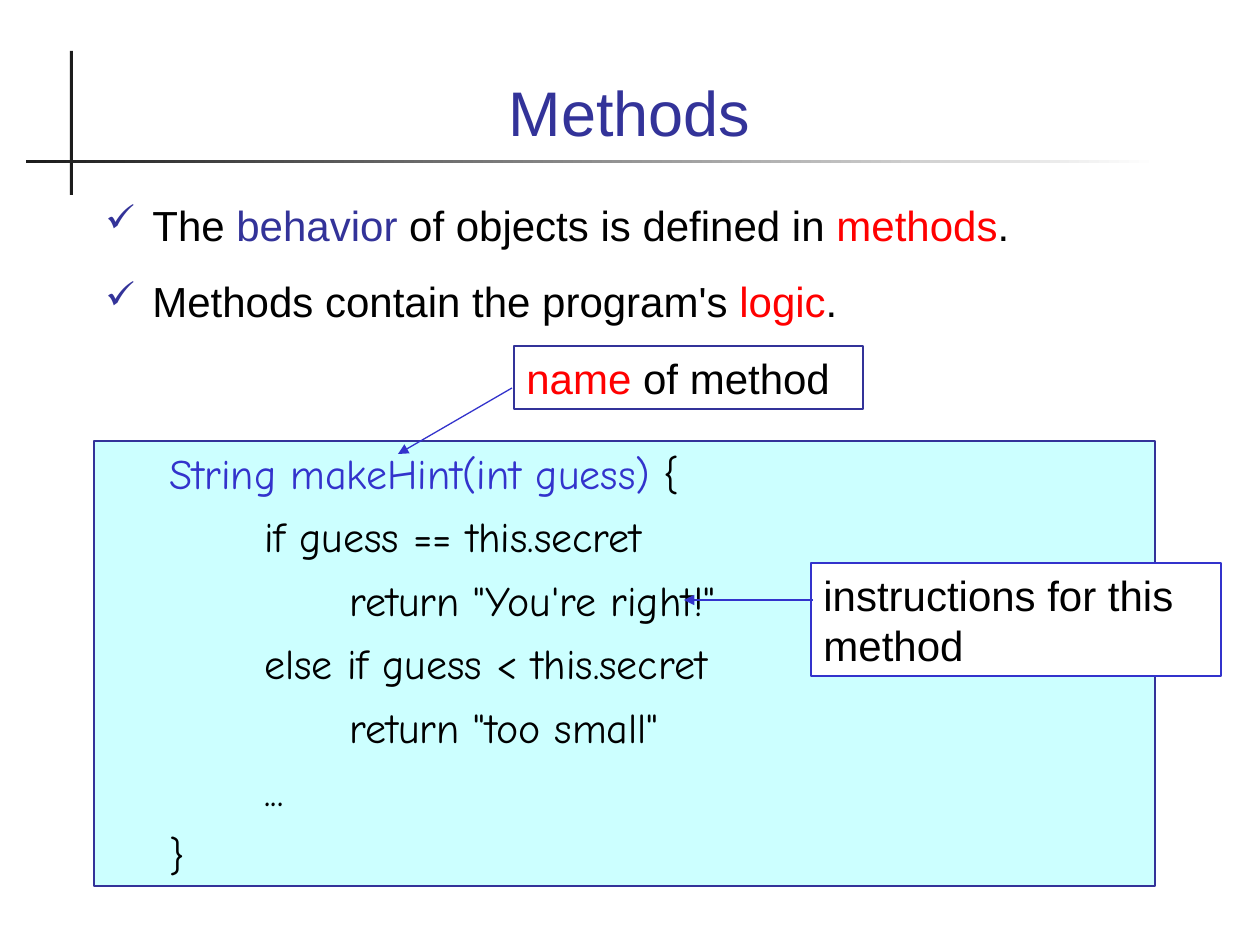
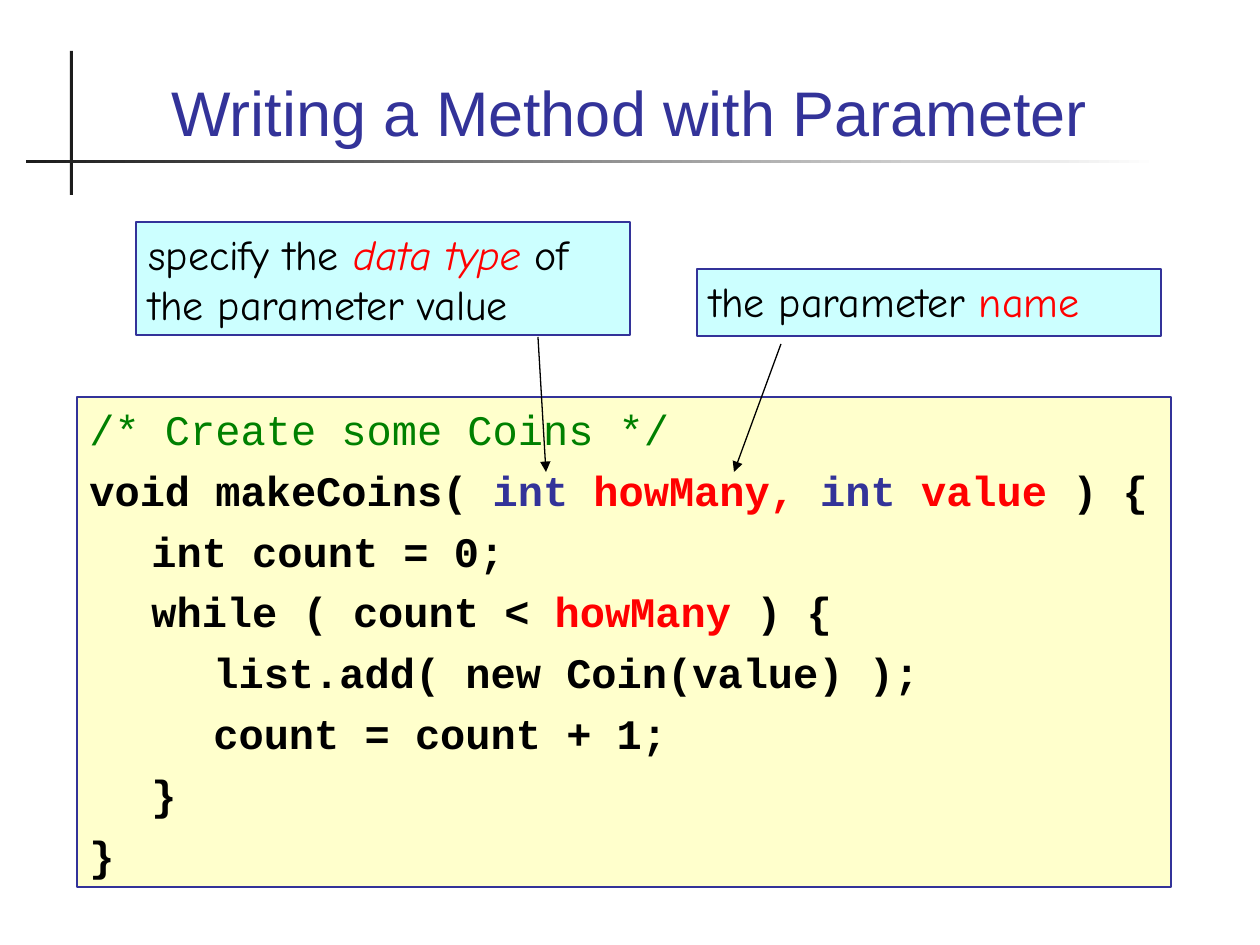
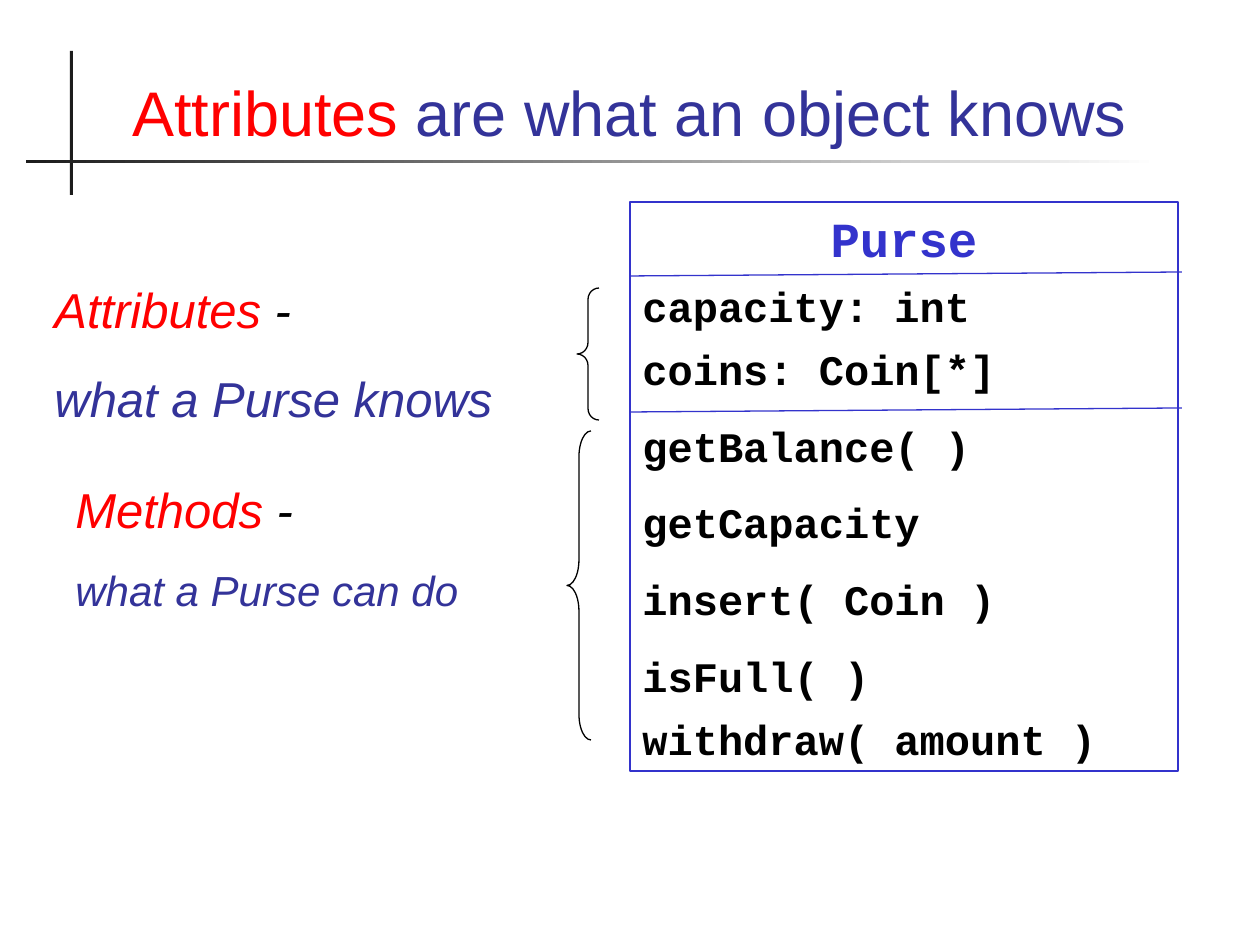
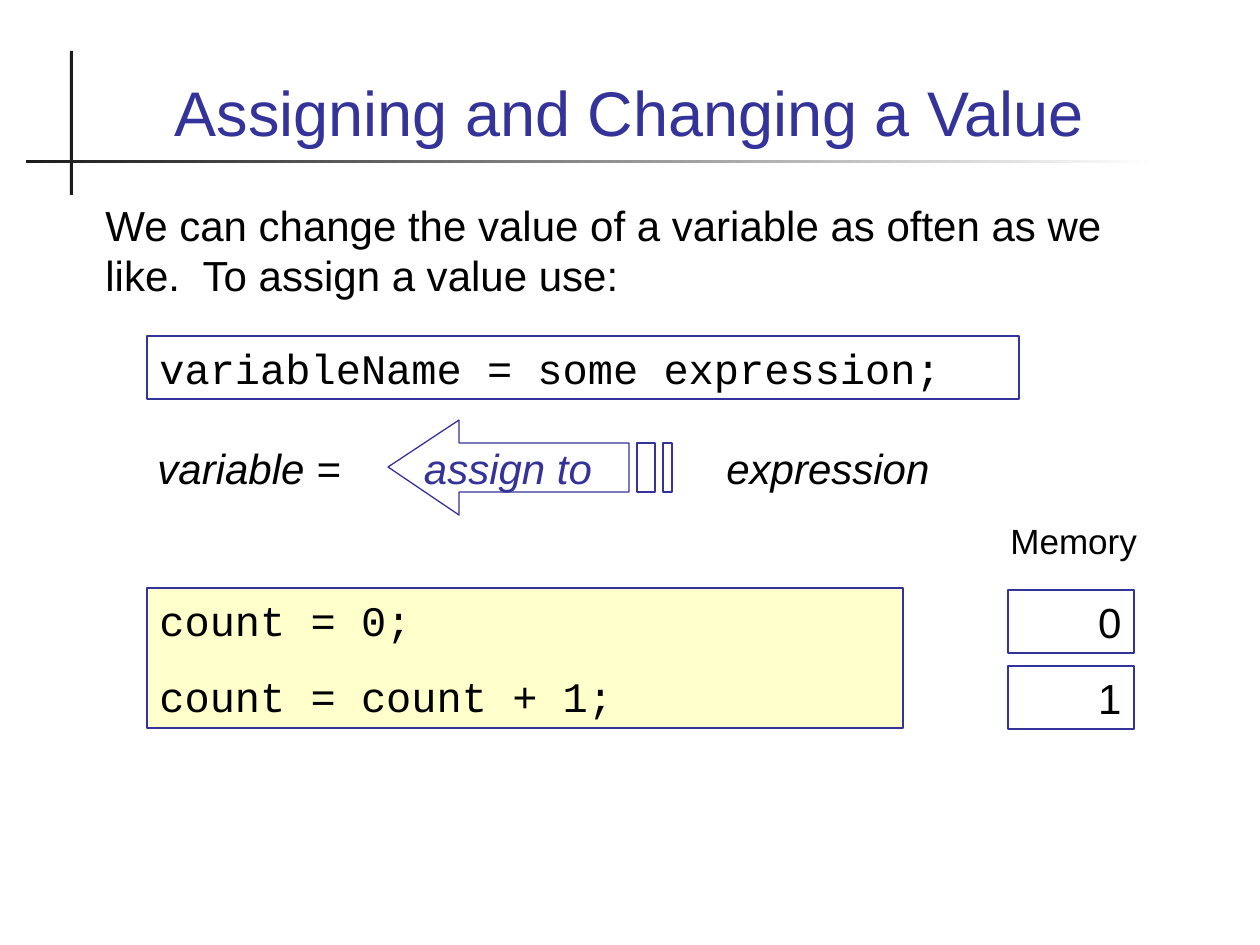
from lxml.etree import SubElement
from pptx import Presentation
from pptx.dml.color import RGBColor
from pptx.enum.shapes import MSO_CONNECTOR, MSO_SHAPE
from pptx.enum.text import MSO_ANCHOR, MSO_AUTO_SIZE, PP_ALIGN
from pptx.oxml.ns import qn
from pptx.util import Emu, Pt

SCALE = 914400 / 126

NAVY = RGBColor(0x33, 0x33, 0x99)
BLUE = RGBColor(0x33, 0x33, 0xCC)
RED = RGBColor(0xFF, 0x00, 0x00)
GREEN = RGBColor(0x00, 0x80, 0x00)
BLACK = RGBColor(0x00, 0x00, 0x00)
INK = RGBColor(0x1C, 0x1C, 0x1C)
WHITE = RGBColor(0xFF, 0xFF, 0xFF)
CYAN = RGBColor(0xCC, 0xFF, 0xFF)
CREAM = RGBColor(0xFF, 0xFF, 0xCC)

SANS = "Arial"
HAND = "Comic Neue"
MONO = "Courier New"


def px(length):
    return Emu(round(length * SCALE))


def red(text):
    return text, {"color": RED}


def navy(text):
    return text, {"color": NAVY}


def add_bullet(properties, character):
    properties.set("marL", str(px(47)))
    properties.set("indent", str(-px(47)))
    color = SubElement(properties, qn("a:buClr"))
    SubElement(color, qn("a:srgbClr"), val=str(NAVY))
    SubElement(properties, qn("a:buSzPct"), val="90000")
    SubElement(properties, qn("a:buChar"), char=character)


def add_tabs(properties, stops):
    tab_list = SubElement(properties, qn("a:tabLst"))
    for stop in stops:
        SubElement(tab_list, qn("a:tab"), pos=str(px(stop)), algn="l")


def add_text(frame, text, font=SANS, size=24, color=BLACK, bold=False, italic=False,
             align=PP_ALIGN.LEFT, before=15, bullet=None, tabs=()):
    para = frame.paragraphs[0]
    if para.runs:
        para = frame.add_paragraph()
        para.space_before = Pt(before)
    else:
        para.space_before = Pt(0)
    para.alignment = align
    properties = para._p.get_or_add_pPr()
    if bullet:
        add_bullet(properties, bullet)
    if tabs:
        add_tabs(properties, tabs)
    base = {"color": color, "bold": bold, "italic": italic}
    for span in [text] if isinstance(text, str) else text:
        words, changes = (span, {}) if isinstance(span, str) else span
        style = base | changes
        run = para.add_run()
        run.text = words
        run.font.name = font
        run.font.size = Pt(size)
        run.font.color.rgb = style["color"]
        run.font.bold = style["bold"]
        run.font.italic = style["italic"]


def prepare_frame(frame, anchor=MSO_ANCHOR.TOP):
    frame.word_wrap = True
    frame.auto_size = MSO_AUTO_SIZE.NONE
    frame.vertical_anchor = anchor
    frame.margin_left = frame.margin_right = Pt(7.2)
    frame.margin_top = frame.margin_bottom = Pt(3.6)
    return frame


def paint(shape, fill=None, line=None):
    shape.shadow.inherit = False
    if fill is None:
        shape.fill.background()
    else:
        shape.fill.solid()
        shape.fill.fore_color.rgb = fill
    if line is None:
        shape.line.fill.background()
    else:
        shape.line.color.rgb = line
        shape.line.width = Pt(0.75)


def add_preset(page, kind, box, fill=None, line=None):
    shape = page.shapes.add_shape(kind, *map(px, box))
    paint(shape, fill, line)
    return shape


def add_panel(page, box, fill=None, line=NAVY):
    return prepare_frame(add_preset(page, MSO_SHAPE.RECTANGLE, box, fill, line).text_frame)


def add_label(page, box, text, **style):
    frame = prepare_frame(page.shapes.add_textbox(*map(px, box)).text_frame)
    add_text(frame, text, **style)
    return frame


def add_line(page, start, end, color, arrow=False):
    line = page.shapes.add_connector(MSO_CONNECTOR.STRAIGHT, *map(px, start + end))
    line.line.color.rgb = color
    line.line.width = Pt(0.75)
    if arrow:
        SubElement(line.line._get_or_add_ln(), qn("a:tailEnd"), type="triangle")
    SubElement(line._element.spPr, qn("a:effectLst"))


def add_cross_rule(page, layout):
    upright = add_preset(page, MSO_SHAPE.RECTANGLE, (70, 51, 3, 144), INK)
    rule = add_preset(page, MSO_SHAPE.RECTANGLE, (26, 160, 1133, 3), INK)
    rule.fill.gradient()
    rule.fill.gradient_angle = 0
    for stop, color in zip(rule.fill.gradient_stops, (INK, WHITE)):
        stop.color.rgb = color
    for shape in (upright, rule):
        layout.shapes.element.append(shape._element)


def add_page(deck, title):
    page = deck.slides.add_slide(deck.slide_layouts[5])
    holder = page.shapes.title
    holder.left, holder.top, holder.width, holder.height = map(px, (84, 35, 1091, 120))
    add_text(prepare_frame(holder.text_frame, MSO_ANCHOR.BOTTOM), title,
             size=36, color=NAVY, align=PP_ALIGN.CENTER)
    return page


def add_hint_code(page, box):
    frame = add_panel(page, box, CYAN)
    lines = (
        ["\t", ("String makeHint(int guess)", {"color": BLUE}), " {"],
        "\t\tif guess == this.secret",
        "\t\t\treturn \"You're right!\"",
        "\t\telse if guess < this.secret",
        "\t\t\treturn \"too small\"",
        "\t\t...",
        "\t}",
    )
    for line in lines:
        add_text(frame, line, font=HAND, before=7.5, tabs=(63, 158, 243))


def build_methods(deck):
    page = add_page(deck, "Methods")
    bullets = add_label(
        page, (93, 193, 1091, 144),
        ["The ", navy("behavior"), " of objects is defined in ", red("methods"), "."], bullet="✓")
    add_text(bullets, ["Methods contain the program's ", red("logic"), "."], bullet="✓")
    add_hint_code(page, (94, 441, 1061, 445))
    add_text(add_panel(page, (514, 346, 349, 63)), [red("name"), " of method"])
    add_line(page, (512, 388), (398, 454), BLUE, arrow=True)
    add_text(add_panel(page, (811, 563, 410, 113), WHITE, BLUE), "instructions for this method")
    add_line(page, (813, 600), (684, 600), BLUE, arrow=True)
    return page


def add_coin_code(page, box):
    frame = add_panel(page, box, CREAM)
    add_text(frame, "/* Create some Coins */", font=MONO, color=GREEN)
    lines = (
        ["void makeCoins( ", navy("int "), red("howMany, "), navy("int"), red(" value"), " ) {"],
        "\tint count = 0;",
        ["\twhile ( count < ", red("howMany"), " ) {"],
        "\t\tlist.add( new Coin(value) );",
        "\t\tcount = count + 1;",
        "\t}",
        "}",
    )
    for line in lines:
        add_text(frame, line, font=MONO, bold=True, before=6, tabs=(62, 124))


def build_parameters(deck):
    page = add_page(deck, "Writing a Method with Parameter")
    add_text(add_panel(page, (697, 269, 464, 67), CYAN),
             ["the parameter ", red("name")], font=HAND)
    add_coin_code(page, (77, 397, 1094, 490))
    data_type = ("data type", {"color": RED, "italic": True})
    add_text(add_panel(page, (136, 222, 494, 113), CYAN),
             ["specify the ", data_type, " of the parameter value"], font=HAND)
    add_line(page, (538, 337), (546, 472), BLACK, arrow=True)
    add_line(page, (781, 344), (734, 472), BLACK, arrow=True)


def add_class_box(page, box):
    left, top, width, height = box
    frame = add_panel(page, box, line=BLUE)
    add_text(frame, "Purse", font=MONO, size=28, color=BLUE, bold=True, align=PP_ALIGN.CENTER)
    members = (
        ("capacity: int", 7.5),
        ("coins: Coin[*]", 7.5),
        ("getBalance( )", 15),
        ("getCapacity", 15),
        ("insert( Coin )", 15),
        ("isFull( )", 15),
        ("withdraw( amount )", 7.5),
    )
    for member, before in members:
        add_text(frame, member, font=MONO, bold=True, before=before)
    for offset in (74, 210):
        add_line(page, (left, top + offset), (left + width + 4, top + offset - 4), BLUE)


def add_brace(page, box, curve):
    brace = add_preset(page, MSO_SHAPE.LEFT_BRACE, box, line=BLACK)
    brace.adjustments[0] = curve
    brace.adjustments[1] = 0.5


def build_attributes(deck):
    page = add_page(deck, [red("Attributes "), "are what an object knows"])
    add_class_box(page, (630, 202, 548, 569))
    add_brace(page, (567, 431, 24, 309), 1.08)
    add_brace(page, (577, 288, 22, 132), 0.52)
    knows = add_label(page, (42, 273, 534, 161), [red("Attributes"), " -"], size=28, italic=True)
    add_text(knows, "what a Purse knows", size=28, color=NAVY, italic=True, before=17.5)
    does = add_label(page, (63, 473, 432, 149), [red("Methods"), " -"], size=28, italic=True)
    add_text(does, "what a Purse can do", color=NAVY, italic=True)


def add_striped_arrow(page, box):
    left, top, width, height = box
    upper, lower, neck, middle = height // 4, height - height // 4, 71, height // 2
    tail = width - 43
    builder = page.shapes.build_freeform(tail, upper, scale=SCALE)
    builder.add_line_segments([(neck, upper), (neck, 0), (0, middle), (neck, height),
                               (neck, lower), (tail, lower)])
    for start, end in ((width - 9, width), (width - 35, width - 17)):
        builder.move_to(end, upper)
        builder.add_line_segments([(start, upper), (start, lower), (end, lower)])
    paint(builder.convert_to_shape(px(left), px(top)), line=NAVY)


def add_assignment(page, box):
    left, top, width, height = box
    add_striped_arrow(page, (left + 243, top - 16, 284, 95))
    add_label(page, (left + 569, top, 286, height), "expression", italic=True)
    add_label(page, (left + 249, top, 228, height), "assign to",
              color=NAVY, italic=True, align=PP_ALIGN.CENTER)
    add_label(page, (left, top, 220, height), "variable =", italic=True)


def add_memory(page, box):
    left, top, width, height = box
    add_label(page, (left - 10, top, 158, 55), "Memory", size=20)
    for index, value in enumerate(("0", "1")):
        cell = add_panel(page, (left, top + 77 + 76 * index, width, 63))
        add_text(cell, value, align=PP_ALIGN.RIGHT)


def build_assignment(deck):
    page = add_page(deck, "Assigning and Changing a Value")
    add_label(page, (93, 193, 1091, 122),
              "We can change the value of a variable as often as we like.  To assign a value use:")
    code = add_panel(page, (147, 588, 756, 140), CREAM)
    for line in ("count = 0;", "count = count + 1;"):
        add_text(code, line, font=MONO)
    add_text(add_panel(page, (147, 336, 872, 63)), "variableName = some expression;", font=MONO)
    add_assignment(page, (145, 436, 855, 63))
    add_memory(page, (1008, 513, 126, 216))


def main():
    deck = Presentation()
    deck.slide_width, deck.slide_height = px(1260), px(945)
    first = build_methods(deck)
    add_cross_rule(first, first.slide_layout)
    build_parameters(deck)
    build_attributes(deck)
    build_assignment(deck)
    deck.save("out.pptx")


if __name__ == "__main__":
    main()
